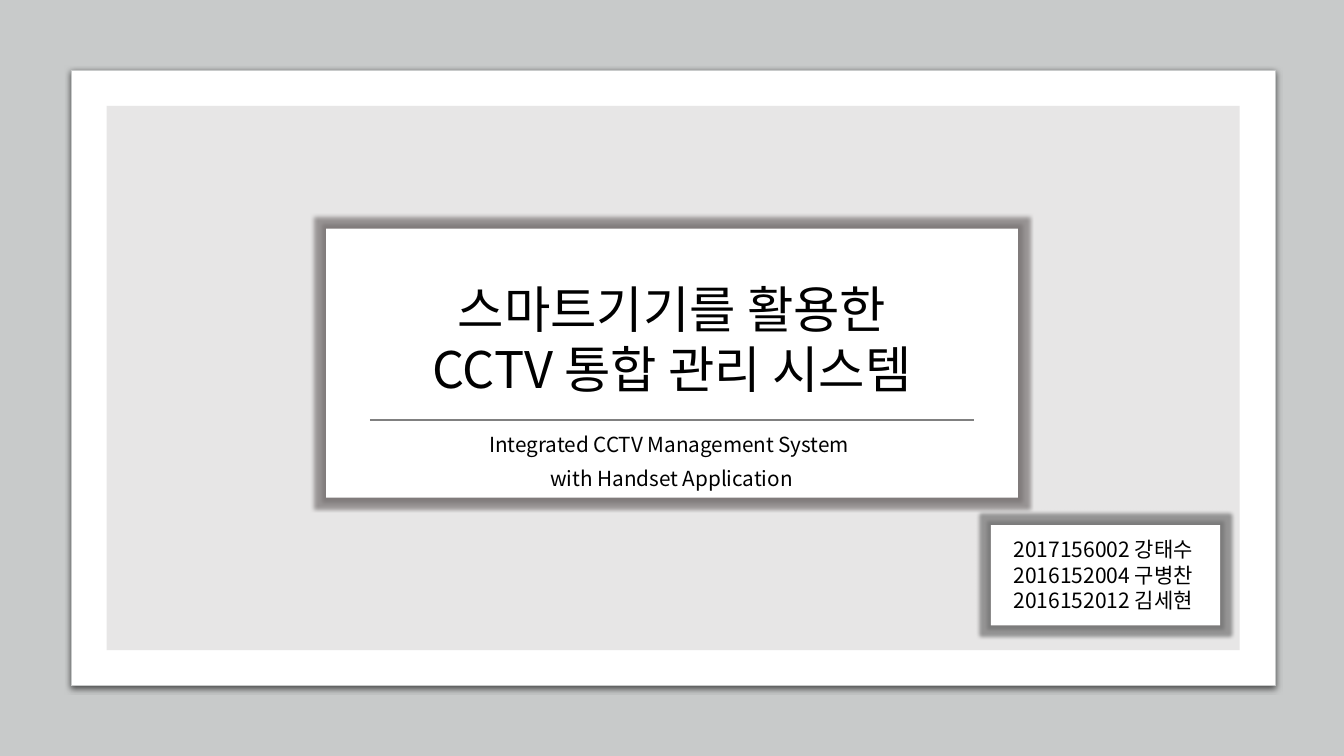
from pptx import Presentation
from pptx.dml.color import RGBColor
from pptx.enum.shapes import MSO_CONNECTOR, MSO_SHAPE
from pptx.enum.text import MSO_ANCHOR, MSO_AUTO_SIZE, PP_ALIGN
from pptx.oxml import parse_xml
from pptx.oxml.ns import nsdecls, qn
from pptx.util import Pt

FONT = "Noto Sans CJK KR"


def put_text(sp, paragraphs, size, color="000000", align=PP_ALIGN.CENTER,
             anchor=MSO_ANCHOR.TOP, wrap=True, spacing=1.0, before=0):
    tf = sp.text_frame
    tf.word_wrap = wrap
    tf.auto_size = MSO_AUTO_SIZE.NONE
    tf.vertical_anchor = anchor
    for i, text in enumerate(paragraphs):
        p = tf.add_paragraph() if i else tf.paragraphs[0]
        p.alignment = align
        p.line_spacing = spacing
        p.space_before = Pt(before)
        for j, line in enumerate(text.split("\n")):
            if j:
                p.add_line_break()
            r = p.add_run()
            r.text = line
            r.font.size = Pt(size)
            r.font.name = FONT
            r.font.color.rgb = RGBColor.from_string(color)
            ea = r._r.get_or_add_rPr().makeelement(qn("a:ea"), {"typeface": FONT})
            r._r.rPr.find(qn("a:latin")).addnext(ea)


def set_effect(sp, effect="", color="000000", alpha=100):
    xml = f'<a:effectLst {nsdecls("a")}>'
    if effect:
        tag = effect.split()[0]
        xml += (f'<a:{effect}><a:srgbClr val="{color}"><a:alpha val="{alpha * 1000}"/>'
                f'</a:srgbClr></a:{tag}>')
    sp._element.spPr.append(parse_xml(xml + "</a:effectLst>"))


prs = Presentation()
prs.slide_width, prs.slide_height = Pt(960), Pt(540)
s = prs.slides.add_slide(prs.slide_layouts[0])

SHADOW = f'outerShdw blurRad="{Pt(4.5)}" dist="{Pt(1.5)}" dir="5400000" algn="t" rotWithShape="0"'
GLOW = f'glow rad="{Pt(5.5)}"'
panels = [
    (MSO_SHAPE.RECTANGLE, (0, 0, 960, 540), "C8CACA", None, ("",)),
    (MSO_SHAPE.ROUNDED_RECTANGLE, (51, 50.4, 860, 439.5), "FFFFFF", "C8CACA",
     (SHADOW, "000000", 63)),
    (MSO_SHAPE.RECTANGLE, (76.2, 75.6, 809.4, 388.8), "E7E6E6", None, ("",)),
    (MSO_SHAPE.RECTANGLE, (233, 163.3, 494, 192.2), "FFFFFF", None, (GLOW, "767171", 70)),
    (MSO_SHAPE.RECTANGLE, (707.8, 375.2, 163.8, 71.6), "FFFFFF", None, (GLOW, "727272", 70)),
]
for kind, box, fill, line, effect in panels:
    sp = s.shapes.add_shape(kind, *map(Pt, box))
    if kind == MSO_SHAPE.ROUNDED_RECTANGLE:
        sp.adjustments[0] = 0
    sp.fill.solid()
    sp.fill.fore_color.rgb = RGBColor.from_string(fill)
    if line:
        sp.line.color.rgb = RGBColor.from_string(line)
        sp.line.width = Pt(0.75)
    else:
        sp.line.fill.background()
    set_effect(sp, *effect)

title, subtitle = s.placeholders
for sp, box in ((title, (120, 105, 720, 183.6)), (subtitle, (214, 308, 531.4, 47.5))):
    sp.left, sp.top, sp.width, sp.height = map(Pt, box)
    s.shapes._spTree.append(sp._element)
put_text(title, ["스마트기기를 활용한\nCCTV 통합 관리 시스템"], 36, anchor=MSO_ANCHOR.BOTTOM)
put_text(subtitle, ["Integrated CCTV Management System ", "with Handset Application"],
         14.8, spacing=0.8, before=10)

rule = s.shapes.add_connector(MSO_CONNECTOR.STRAIGHT, Pt(264.2), Pt(299.8), Pt(695.9), Pt(299.8))
rule.line.color.rgb = RGBColor.from_string("808080")
rule.line.width = Pt(1.5)
set_effect(rule)

members = s.shapes.add_textbox(Pt(717), Pt(380), Pt(150), Pt(62))
put_text(members, ["2017156002 강태수", "2016152004 구병찬", "2016152012 김세현"],
         15, align=PP_ALIGN.LEFT, wrap=False)

prs.save("out.pptx")
